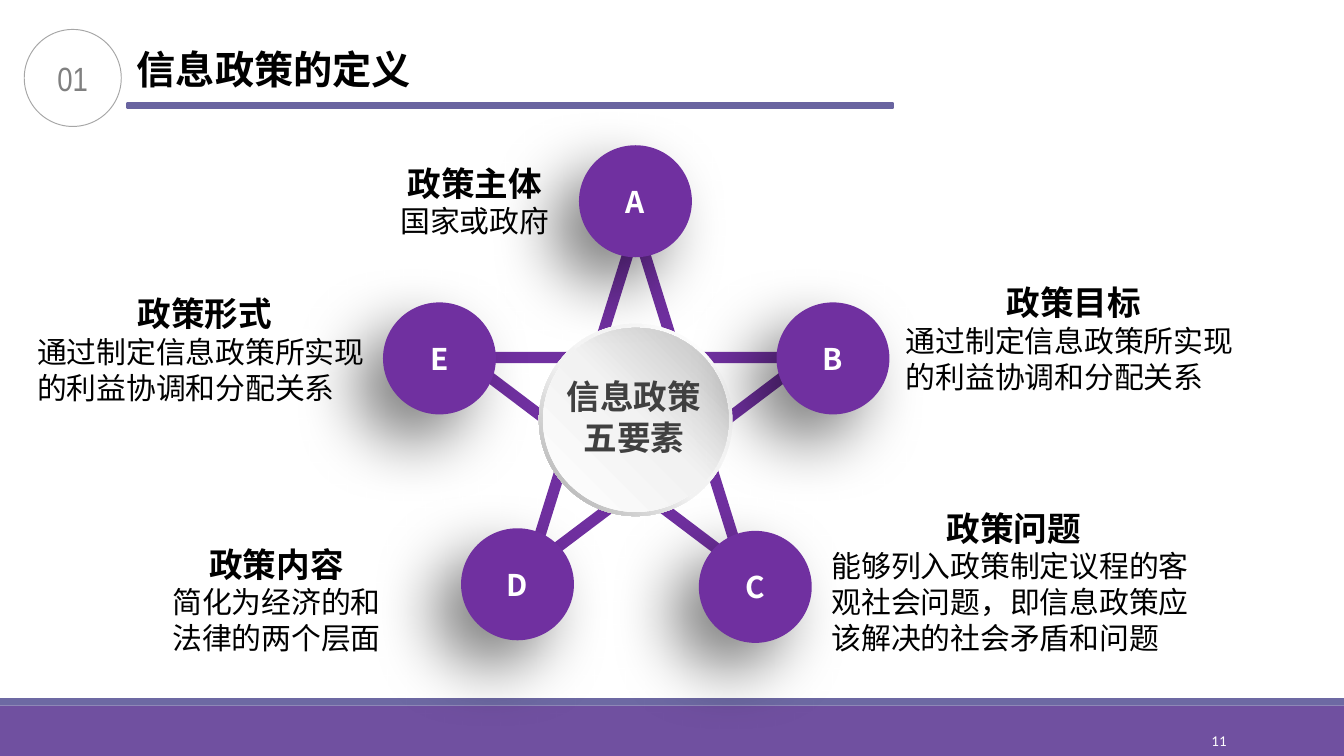
from lxml import etree
from pptx import Presentation
from pptx.dml.color import RGBColor
from pptx.enum.shapes import MSO_SHAPE
from pptx.enum.text import MSO_ANCHOR, MSO_AUTO_SIZE, PP_ALIGN
from pptx.oxml import parse_xml
from pptx.oxml.ns import qn
from pptx.util import Pt

RECT, OVAL = MSO_SHAPE.RECTANGLE, MSO_SHAPE.OVAL
STAR, DONUT = MSO_SHAPE.STAR_5_POINT, MSO_SHAPE.DONUT
LEFT, CENTER, RIGHT = PP_ALIGN.LEFT, PP_ALIGN.CENTER, PP_ALIGN.RIGHT
TOP, MIDDLE = MSO_ANCHOR.TOP, MSO_ANCHOR.MIDDLE
CJK = "Noto Sans CJK SC"
PURPLE = "7030A0"
DRAWING_NS = "http://schemas.openxmlformats.org/drawingml/2006/main"
rgb = RGBColor.from_string


def add_figure(kind, box, fill=None, line=None, weight=1):
    figure = slide.shapes.add_shape(kind, *map(Pt, box))
    figure.shadow.inherit = False
    if fill:
        figure.fill.solid()
        figure.fill.fore_color.rgb = rgb(fill)
    else:
        figure.fill.background()
    if line:
        figure.line.color.rgb = rgb(line)
        figure.line.width = Pt(weight)
    else:
        figure.line.fill.background()
    return figure


def write(frame, lines, color, insets=(7.2, 3.6), anchor=TOP, font=CJK):
    """Each line is (text, size, bold, alignment)."""
    frame.word_wrap = True
    frame.auto_size = MSO_AUTO_SIZE.NONE
    frame.vertical_anchor = anchor
    frame.margin_left = frame.margin_right = Pt(insets[0])
    frame.margin_top = frame.margin_bottom = Pt(insets[1])
    for index, (text, size, bold, alignment) in enumerate(lines):
        paragraph = frame.add_paragraph() if index else frame.paragraphs[0]
        paragraph.alignment = alignment
        run = paragraph.add_run()
        run.text = text
        run.font.size, run.font.bold, run.font.name = Pt(size), bold, font
        run.font.color.rgb = rgb(color)
        east_asian = etree.SubElement(run.font._element, qn("a:ea"))
        east_asian.set("typeface", font)


presentation = Presentation()
presentation.slide_width, presentation.slide_height = Pt(720), Pt(405)
slide = presentation.slides.add_slide(presentation.slide_layouts[5])

# Footer bands and page number
add_figure(RECT, (0, 378, 720, 27), "7050A0")
add_figure(RECT, (0, 374, 720, 4), "6D69A3")
page_number = slide.shapes.add_textbox(Pt(584.6), Pt(386), Pt(78), Pt(21.6))
write(page_number.text_frame, [("11", 8, False, RIGHT)], "FFFFFF",
      (5.4, 2.7), MIDDLE, "Calibri")

# Heading: rule, section number and title
add_figure(RECT, (68.4, 55.2, 410, 2.6), "6964A0", "6964A0", 1.25)
section = add_figure(OVAL, (13, 15.8, 52, 52), None, "A6A6A6", 0.5)
write(section.text_frame, [("01", 18, False, CENTER)], "808080",
      (5.4, 2.7), MIDDLE, "Arial Narrow")
title = slide.shapes.title
title.left, title.top, title.width, title.height = map(Pt, (67.8, 21.6, 162, 31))
write(title.text_frame, [("信息政策的定义", 21, True, LEFT)], "000000", (5.4, 2.7))

# Star with the central disc
add_figure(STAR, (248.4, 121.7, 185, 182.9), None, PURPLE, 6)
rim = add_figure(DONUT, (288.7, 173.5, 103.7, 103))
rim.adjustments[0] = 0.05
disc = add_figure(OVAL, (290.9, 175.7, 99.4, 98.6))
for figure, angle, middle, end_color in ((rim, 135, 55, "A6A6A6"),
                                         (disc, 315, 51, "BFBFBF")):
    stops = "".join(
        f'<a:gs pos="{position * 1000}"><a:srgbClr val="{color}"/></a:gs>'
        for position, color in ((0, "FFFFFF"), (middle, "F2F2F2"), (100, end_color)))
    gradient = parse_xml(
        f'<a:gradFill xmlns:a="{DRAWING_NS}" rotWithShape="1"><a:gsLst>{stops}</a:gsLst>'
        f'<a:lin ang="{angle * 60000}" scaled="0"/></a:gradFill>')
    properties = figure._element.spPr
    properties.replace(properties.find(qn("a:noFill")), gradient)
center_label = slide.shapes.add_textbox(Pt(295.6), Pt(198), Pt(88), Pt(51))
write(center_label.text_frame,
      [(text, 18, True, CENTER) for text in ("信息政策", "五要素")], "404040")

# Lettered nodes with soft shadows
nodes = {"E": (205.2, 162), "A": (310.2, 77.8), "B": (416, 162),
         "C": (374.4, 284.4), "D": (247, 283)}
for letter, (left, top) in nodes.items():
    node = add_figure(OVAL, (left, top, 60.5, 60), PURPLE)
    write(node.text_frame, [(letter, 16, True, CENTER)], "FFFFFF", (0, 0), MIDDLE)
    node._element.spPr.find(qn("a:effectLst")).append(parse_xml(
        f'<a:outerShdw xmlns:a="{DRAWING_NS}" blurRad="{Pt(35)}" dist="{Pt(20)}" '
        'dir="8100000" algn="tr" rotWithShape="0">'
        '<a:srgbClr val="000000"><a:alpha val="50000"/></a:srgbClr></a:outerShdw>'))

# The five elements: heading, box, alignment and explanation
elements = [
    ("政策主体", (206.4, 83.5, 96, 48), CENTER, ["国家或政府"]),
    ("政策目标", (478.2, 147.6, 194, 67.5), LEFT,
     ["通过制定信息政策所实现", "的利益协调和分配关系"]),
    ("政策问题", (438.4, 268.4, 209.5, 87), LEFT,
     ["能够列入政策制定议程的客观社会问题，即信息政策应该解决的社会矛盾和问题"]),
    ("政策内容", (84, 287.8, 128.4, 85), CENTER, ["简化为经济的和", "法律的两个层面"]),
    ("政策形式", (12.8, 153.5, 194, 67.5), LEFT,
     ["通过制定信息政策所实现", "的利益协调和分配关系"]),
]
for heading, box, alignment, explanation in elements:
    label = slide.shapes.add_textbox(*map(Pt, box))
    write(label.text_frame,
          [(heading, 18, True, CENTER)]
          + [(text, 16, False, alignment) for text in explanation], "000000")

presentation.save("out.pptx")
